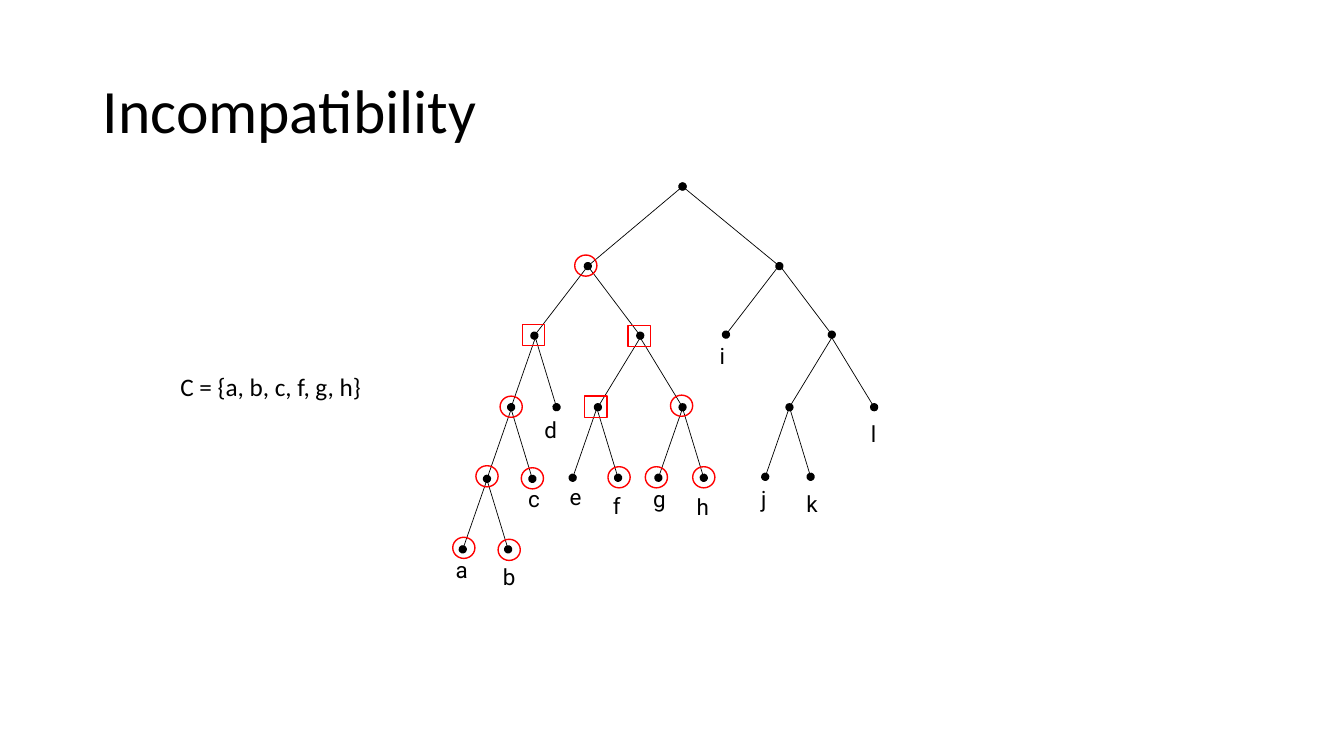
from typing import NamedTuple

from lxml.etree import SubElement
from pptx import Presentation
from pptx.dml.color import RGBColor
from pptx.enum.shapes import MSO_CONNECTOR, MSO_SHAPE
from pptx.enum.text import MSO_ANCHOR, MSO_AUTO_SIZE
from pptx.oxml.ns import qn
from pptx.util import Inches, Pt

COLORS = {"ink": "000000", "mark": "FF0000"}
MARK_WIDTH, MARK_HEIGHT = 0.22, 0.21
LABEL_HEIGHT = 0.37


class Spread(NamedTuple):
    left: float
    right: float
    drop: float


class Fork(NamedTuple):
    x: float
    y: float
    spread: Spread


class Mark(NamedTuple):
    left: float
    top: float
    shape: MSO_SHAPE = MSO_SHAPE.OVAL


class Label(NamedTuple):
    text: str
    left: float
    top: float
    width: float


ROOT = Spread(0.94, 0.96, 0.79)
BROAD = Spread(0.53, 0.52, 0.69)
MEDIUM = Spread(0.42, 0.42, 0.69)
NARROW = Spread(0.24, 0.21, 0.69)

FORKS = [
    Fork(6.77, 1.85, ROOT),
    Fork(5.83, 2.64, BROAD),
    Fork(7.73, 2.63, BROAD),
    Fork(6.35, 3.35, MEDIUM),
    Fork(8.25, 3.35, MEDIUM),
    Fork(5.31, 3.35, NARROW),
    Fork(5.07, 4.06, NARROW),
    Fork(4.83, 4.76, NARROW),
    Fork(5.92, 4.05, NARROW),
    Fork(6.77, 4.05, NARROW),
    Fork(7.83, 4.04, NARROW),
]

MARKS = [
    Mark(5.70, 2.53),
    Mark(5.18, 3.22, MSO_SHAPE.RECTANGLE),
    Mark(6.23, 3.23, MSO_SHAPE.RECTANGLE),
    Mark(4.96, 3.93),
    Mark(5.80, 3.93, MSO_SHAPE.RECTANGLE),
    Mark(6.65, 3.92),
    Mark(4.72, 4.62),
    Mark(5.17, 4.64),
    Mark(6.03, 4.63),
    Mark(6.40, 4.63),
    Mark(6.87, 4.63),
    Mark(4.49, 5.33),
    Mark(4.94, 5.35),
]

LABELS = [
    Label("a", 4.42, 5.47, 0.32),
    Label("b", 4.89, 5.54, 0.31),
    Label("c", 5.14, 4.76, 0.29),
    Label("d", 5.30, 4.08, 0.32),
    Label("e", 5.55, 4.74, 0.29),
    Label("f", 5.98, 4.83, 0.27),
    Label("g", 6.38, 4.76, 0.31),
    Label("h", 6.81, 4.84, 0.32),
    Label("i", 7.04, 3.35, 0.27),
    Label("j", 7.45, 4.76, 0.26),
    Label("k", 7.90, 4.81, 0.31),
    Label("l", 8.54, 4.12, 0.26),
]


def color(name: str) -> RGBColor:
    return RGBColor.from_string(COLORS[name])


def add_text(page, label: Label, height: float, font: str, size: int):
    box = page.shapes.add_textbox(
        Inches(label.left), Inches(label.top), Inches(label.width), Inches(height)
    )
    frame = box.text_frame
    frame.text = label.text
    frame.word_wrap = False
    frame.auto_size = MSO_AUTO_SIZE.SHAPE_TO_FIT_TEXT
    span = frame.paragraphs[0].runs[0]
    span.font.name = font
    span.font.size = Pt(size)
    span.font.color.rgb = color("ink")
    return frame


def add_title(page, text: str) -> None:
    frame = add_text(page, Label(text, 0.92, 0.4, 11.5), 1.45, "Calibri", 44)
    frame.word_wrap = True
    frame.auto_size = MSO_AUTO_SIZE.NONE
    frame.vertical_anchor = MSO_ANCHOR.MIDDLE
    frame.paragraphs[0].line_spacing = 0.9


def add_branch(page, fork: Fork, shift: float) -> None:
    branch = page.shapes.add_connector(
        MSO_CONNECTOR.STRAIGHT,
        Inches(fork.x),
        Inches(fork.y),
        Inches(fork.x + shift),
        Inches(fork.y + fork.spread.drop),
    )
    branch.line.color.rgb = color("ink")
    branch.line.width = Pt(0.5)
    properties = branch.element.spPr
    outline = properties.find(qn("a:ln"))
    if fork.spread is ROOT:
        SubElement(outline, qn("a:headEnd"), type="oval")
    SubElement(outline, qn("a:tailEnd"), type="oval")
    SubElement(properties, qn("a:effectLst"))


def add_mark(page, mark: Mark) -> None:
    ring = page.shapes.add_shape(
        mark.shape,
        Inches(mark.left),
        Inches(mark.top),
        Inches(MARK_WIDTH),
        Inches(MARK_HEIGHT),
    )
    ring.shadow.inherit = False
    ring.fill.background()
    ring.line.color.rgb = color("mark")
    ring.line.width = Pt(1)


deck = Presentation()
deck.slide_width = Inches(13.33)
deck.slide_height = Inches(7.5)
page = deck.slides.add_slide(deck.slide_layouts[6])

add_title(page, "Incompatibility")
add_text(page, Label("C = {a, b, c, f, g, h}", 1.69, 3.63, 2.02), 0.4, "Calibri", 18)
for fork in FORKS:
    add_branch(page, fork, -fork.spread.left)
    add_branch(page, fork, fork.spread.right)
for label in LABELS:
    add_text(page, label, LABEL_HEIGHT, "Roboto", 16)
for mark in MARKS:
    add_mark(page, mark)

deck.save("out.pptx")
